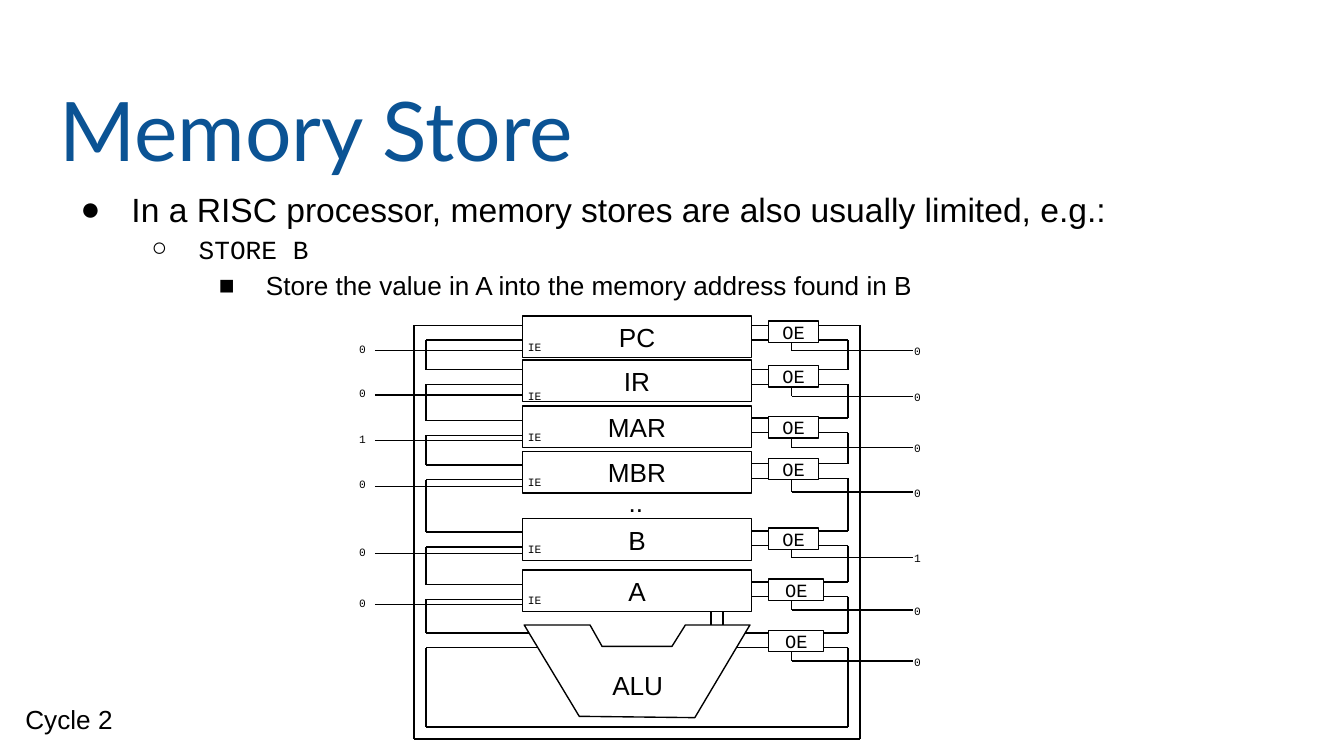
from itertools import pairwise

from lxml.etree import SubElement
from pptx import Presentation
from pptx.dml.color import RGBColor
from pptx.enum.shapes import MSO_CONNECTOR, MSO_SHAPE
from pptx.enum.text import MSO_ANCHOR, MSO_AUTO_SIZE, PP_ALIGN
from pptx.oxml.ns import qn
from pptx.util import Pt

PX = 9144  # 100 px to the inch
BLACK = RGBColor(0x00, 0x00, 0x00)
WHITE = RGBColor(0xFF, 0xFF, 0xFF)
BLUE = RGBColor(0x0B, 0x53, 0x94)
SANS, MONO = "Arial", "Courier New"

TITLE = "Memory Store"
# text, font, size, bullet, indent, hanging
BULLETS = [
    ("In a RISC processor, memory stores are also usually limited, e.g.:",
     SANS, 18, "●", 50, 38),
    ("STORE B", MONO, 14, "○", 100, 35),
    ("Store the value in A into the memory address found in B",
     SANS, 14, "■", 150, 35),
]
# name, top, IE label top, IE value
REGISTERS = [
    ("PC", 235, 244, "0"),
    ("IR", 268, 280, "0"),
    ("MAR", 302, 311, "1"),
    ("MBR", 336, 344, "0"),
    ("B", 386, 394, "0"),
    ("A", 424, 432, "0"),
]
# upper wire on the left, on the right, OE top, OE width, OE line, OE value
PORTS = [
    (242, 242, 239, 37, 261, "0"),
    (275, 275, 272, 37, 295, "0"),
    (313, 311, 310, 37, 333, "0"),
    (346, 345, 341, 37, 366, "0"),
    (396, 395, 393, 37, 415, "1"),
    (435, 433, 431, 41, 454, "0"),
    (471, 471, 469, 41, 492, "0"),
]
ALU = [(390, 465), (439, 465), (448, 481), (500, 481), (510, 465),
       (558, 465), (517, 534), (431, 533)]
WIRE_GAP = 11
OUTER, OUTER_END = (308, 640), 550
INNER, INNER_END = (317, 631), 541
WIRE_ENDS = (407, 541)
REG_X, REG_W, REG_H = 389, 170, 31
OE_X, OE_H, OE_MID, OE_END = 572, 16, 589, 679

prs = Presentation()
prs.slide_width = 1000 * PX
prs.slide_height = prs.slide_width * 9 // 16
s = prs.slides.add_slide(prs.slide_layouts[5])


def add_run(p, text, font, size, color=BLACK):
    r = p.add_run()
    r.text = text
    r.font.name, r.font.size, r.font.color.rgb = font, Pt(size), color


def prepare(tf):
    """Wrapped text with a 10 px margin and no resizing."""
    tf.word_wrap = True
    tf.auto_size = MSO_AUTO_SIZE.NONE
    tf.margin_left = tf.margin_right = tf.margin_top = tf.margin_bottom = 10 * PX


def place(sp, x, y, w, h):
    sp.left, sp.top, sp.width, sp.height = (v * PX for v in (x, y, w, h))


def add_label(text, x, y, w, h, font=SANS, size=14, align=PP_ALIGN.LEFT):
    tf = s.shapes.add_textbox(x * PX, y * PX, w * PX, h * PX).text_frame
    prepare(tf)
    tf.paragraphs[0].alignment = align
    add_run(tf.paragraphs[0], text, font, size)


def outline(sp):
    sp.shadow.inherit = False
    sp.fill.solid()
    sp.fill.fore_color.rgb = WHITE
    sp.line.color.rgb, sp.line.width = BLACK, Pt(0.75)


def add_box(text, x, y, w, h, font=SANS, size=14):
    sp = s.shapes.add_shape(MSO_SHAPE.RECTANGLE, x * PX, y * PX, w * PX, h * PX)
    outline(sp)
    tf = sp.text_frame
    prepare(tf)
    tf.vertical_anchor = MSO_ANCHOR.MIDDLE
    tf.paragraphs[0].alignment = PP_ALIGN.CENTER
    add_run(tf.paragraphs[0], text, font, size)


def add_wire(x1, y1, x2, y2):
    c = s.shapes.add_connector(MSO_CONNECTOR.STRAIGHT, x1 * PX, y1 * PX, x2 * PX, y2 * PX)
    c.line.color.rgb, c.line.width = BLACK, Pt(0.75)
    SubElement(c._element.spPr, qn("a:effectLst"))


# Title and bullets
title = s.shapes.title
place(title, 34, 49, 932, 63)
prepare(title.text_frame)
title.text_frame.vertical_anchor = MSO_ANCHOR.TOP
p = title.text_frame.paragraphs[0]
p.alignment = PP_ALIGN.LEFT
add_run(p, TITLE, "Lato", 44, BLUE)

tf = s.shapes.add_textbox(38 * PX, 126 * PX, 869 * PX, 131 * PX).text_frame
prepare(tf)
for i, (text, font, size, bullet, indent, hanging) in enumerate(BULLETS):
    p = tf.add_paragraph() if i else tf.paragraphs[0]
    p.level, p.line_spacing = i, 1.15
    pPr = p._p.get_or_add_pPr()
    pPr.set("marL", str(indent * PX))
    pPr.set("indent", str(-hanging * PX))
    SubElement(SubElement(pPr, qn("a:buClr")), qn("a:srgbClr")).set("val", str(BLACK))
    SubElement(pPr, qn("a:buFont")).set("typeface", font)
    SubElement(pPr, qn("a:buChar")).set("char", bullet)
    add_run(p, text, font, size)

# Outer and inner bus on each side
for side in (0, 1):
    outer, inner, end = OUTER[side], INNER[side], WIRE_ENDS[side]
    uppers = [port[side] for port in PORTS]
    add_wire(outer, uppers[0], outer, OUTER_END)
    for i, y in enumerate(uppers):
        add_wire(end, y, inner if i else outer, y)
        add_wire(end, y + WIRE_GAP, inner, y + WIRE_GAP)
    for y, below in pairwise(uppers + [INNER_END]):
        add_wire(inner, y + WIRE_GAP, inner, below)
add_wire(OUTER[0], OUTER_END, OUTER[1], OUTER_END)
add_wire(INNER[0], INNER_END, INNER[1], INNER_END)

# ALU, joined to register A
builder = s.shapes.build_freeform(*ALU[0], scale=PX)
builder.add_line_segments(ALU[1:], close=True)
outline(builder.convert_to_shape())
add_label("ALU", 444, 488, 61, 27, align=PP_ALIGN.CENTER)
for x in (529, 538):
    add_wire(x, 455, x, 465)

for name, top, ie_top, value in REGISTERS:
    add_box(name, REG_X, top, REG_W, REG_H)
    add_label("IE", 383, ie_top, 35, 19, MONO, 6)
    add_wire(279, top + 26, REG_X, top + 26)
    add_label(value, 260, top + 10, 17, 19, MONO, 6)

for _, _, top, width, line_y, value in PORTS:
    add_wire(OE_MID, top + OE_H, OE_MID, line_y)
    add_wire(OE_MID, line_y, OE_END, line_y)
    add_box("OE", OE_X, top, width, OE_H, MONO, 10)
    add_label(value, 673, line_y - 14, 17, 19, MONO, 6)

add_label("...", 458, 352, 34, 39)
add_label("Cycle 2", 9, 513, 435, 51)

prs.save("out.pptx")
